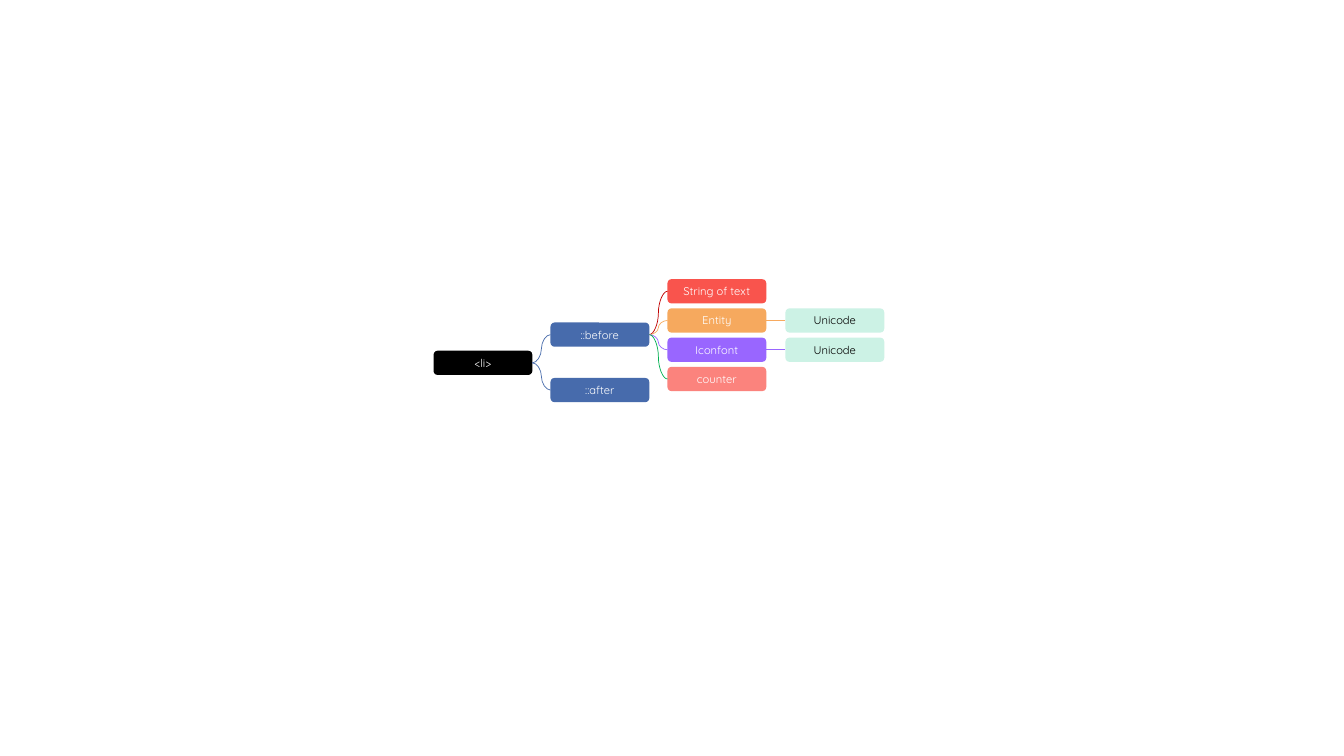
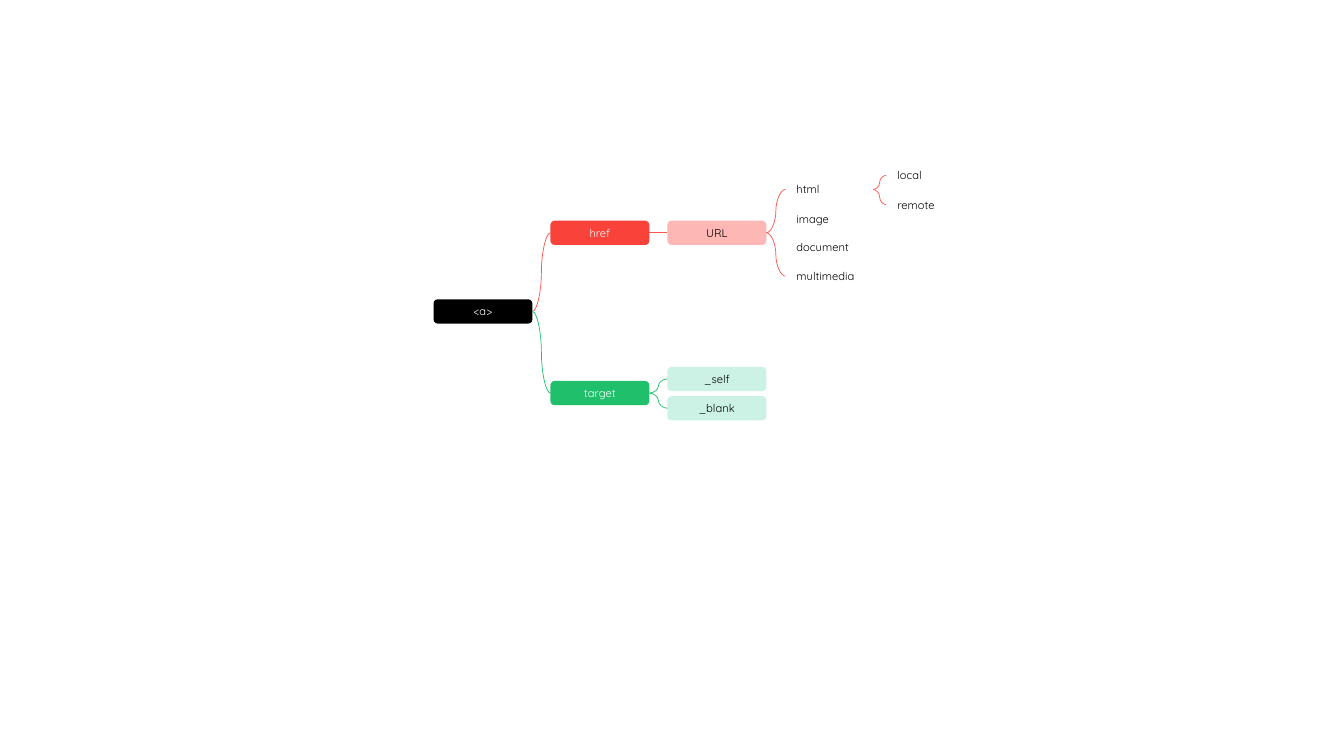
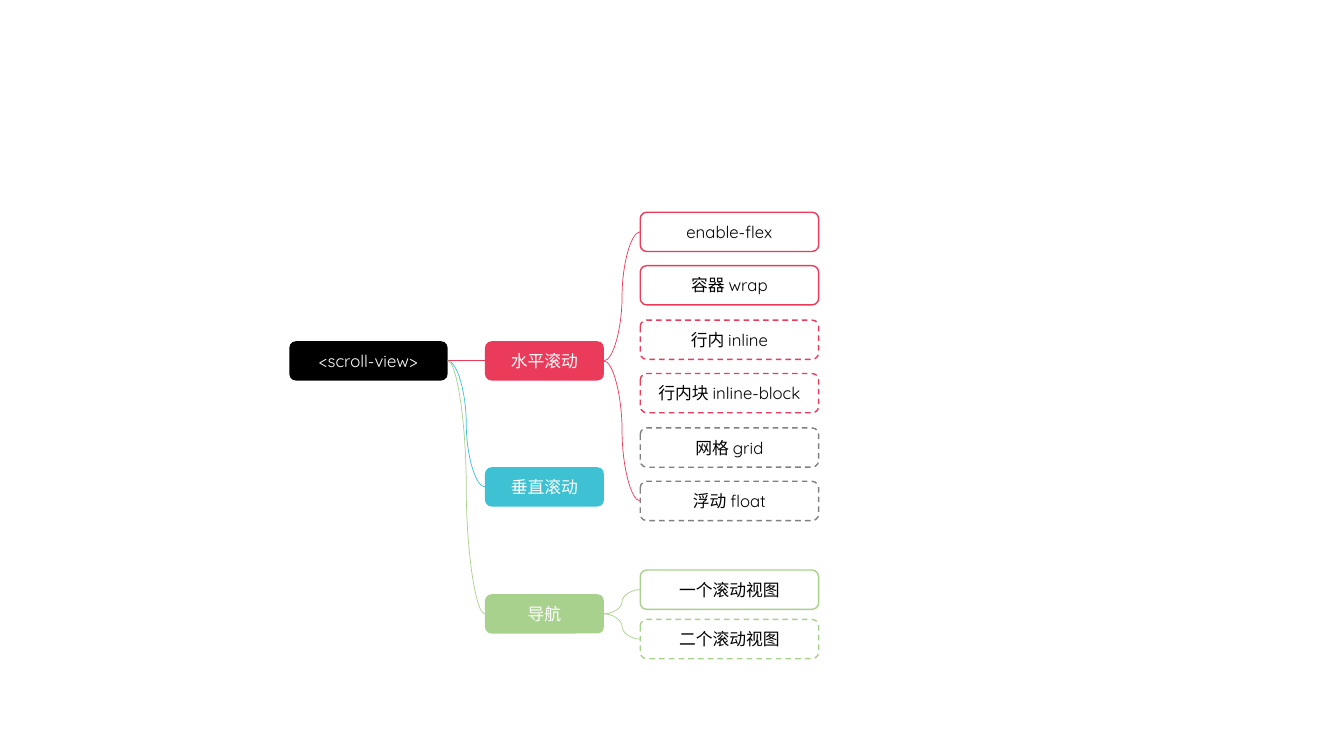
"""Build three mind maps of web markup: list items, links and scroll views."""
import pptx
import pptx.dml.color
import pptx.enum.dml
import pptx.enum.shapes
import pptx.enum.text
import pptx.oxml.ns
import pptx.oxml.xmlchemy
import pptx.util

Inches, Pt = pptx.util.Inches, pptx.util.Pt
FONT = "Quicksand"
COLORS = {
    "black": "000000", "white": "FFFFFF", "gray": "808080",
    "blue": "335BA3", "steel": "486CAC", "red": "F9423A", "dark red": "C00000",
    "orange": "F6A04D", "amber": "F7AA5F", "purple": "9966FF", "salmon": "FB837D",
    "emerald": "00B050", "mint": "CCF2E5", "coral": "FA554E", "pink": "FDB8B5",
    "green": "20BF6B", "crimson": "EB3B5A", "teal": "3DC1D3", "sage": "A9D18E",
}


def solid(fill, text="white", opacity=100):
    return {"fill": fill, "text": text, "opacity": opacity}


def outline(line, dash=False):
    return {"line": line, "dash": dash, "text": "black"}


def node(label, style, edge=None, span=(), children=()):
    return {"label": label, "style": style, "edge": edge,
            "span": span, "children": children}


ROOT = solid("black")
MINT = solid("mint", "black")
PLAIN = {"text": "black", "align": "JUSTIFY"}

MAPS = [
    {
        "columns": [(4.3, 0.98), (5.46, 0.98), (6.62, 0.98), (7.79, 0.98)],
        "height": 0.24, "size": 8, "y": 3.6,
        "root": node("<li>", ROOT, None, (3.32, 3.87), [
            node("::before", solid("blue", opacity=90), "steel", (2.89, 3.76), [
                node("String of text", solid("red", opacity=90), "dark red"),
                node("Entity", solid("orange", opacity=90), "amber", (3.18, 3.18), [
                    node("Unicode", MINT, "amber")]),
                node("Iconfont", solid("purple"), "purple", (3.47, 3.47), [
                    node("Unicode", MINT, "purple")]),
                node("counter", solid("salmon"), "emerald")]),
            node("::after", solid("blue", opacity=90), "steel")]),
    },
    {
        "columns": [(4.3, 0.98), (5.46, 0.98), (6.62, 0.98), (7.79, 0.87), (8.79, 0.98)],
        "height": 0.24, "size": 8, "y": 3.09,
        "root": node("<a>", ROOT, None, (2.31, 3.9), [
            node("href", solid("red"), "coral", (2.31, 2.31), [
                node("URL", solid("pink", "black"), "coral", (1.88, 2.74), [
                    node("html", PLAIN, "coral", (1.74, 2.03), [
                        node("local", PLAIN, "coral"),
                        node("remote", PLAIN, "coral")]),
                    node("image", PLAIN),
                    node("document", PLAIN),
                    node("multimedia", PLAIN, "coral")])]),
            node("target", solid("green"), "green", (3.76, 4.05), [
                node("_self", MINT, "green"),
                node("_blank", MINT, "green")])]),
    },
    {
        "columns": [(2.87, 1.57), (4.81, 1.18), (6.35, 1.77)],
        "height": 0.39, "size": 12, "y": 3.58,
        "root": node("<scroll-view>", ROOT, None, (3.58, 6.09), [
            node("水平滚动", solid("crimson"), "crimson", (2.3, 4.97), [
                node("enable-flex", outline("crimson"), "crimson"),
                node("容器 wrap", outline("crimson")),
                node("行内 inline", outline("crimson", True)),
                node("行内块 inline-block", outline("crimson", True)),
                node("网格 grid", outline("gray", True)),
                node("浮动 float", outline("gray", True), "crimson")]),
            node("垂直滚动", solid("teal"), "teal"),
            node("导航", solid("sage"), "sage", (5.85, 6.34), [
                node("一个滚动视图", outline("sage"), "sage"),
                node("二个滚动视图", outline("sage", True), "sage")])]),
    },
]


def rgb(name):
    return pptx.dml.color.RGBColor.from_string(COLORS[name])


def add_box(s, label, style, x, y, w, h, size):
    sp = s.shapes.add_shape(pptx.enum.shapes.MSO_SHAPE.ROUNDED_RECTANGLE,
                            Inches(x), Inches(y - h / 2), Inches(w), Inches(h))
    sp.shadow.inherit = False
    if "fill" in style:
        sp.fill.solid()
        sp.fill.fore_color.rgb = rgb(style["fill"])
        if style["opacity"] < 100:
            color = sp._element.spPr.find(".//" + pptx.oxml.ns.qn("a:srgbClr"))
            alpha = pptx.oxml.xmlchemy.OxmlElement("a:alpha")
            alpha.set("val", str(style["opacity"] * 1000))
            color.append(alpha)
    else:
        sp.fill.background()
    if "line" in style:
        sp.line.color.rgb = rgb(style["line"])
        sp.line.width = Pt(1)
        if style["dash"]:
            sp.line.dash_style = pptx.enum.dml.MSO_LINE.DASH
    else:
        sp.line.fill.background()
    tf = sp.text_frame
    tf.word_wrap = True
    tf.vertical_anchor = pptx.enum.text.MSO_ANCHOR.MIDDLE
    p = tf.paragraphs[0]
    p.alignment = pptx.enum.text.PP_ALIGN[style.get("align", "CENTER")]
    r = p.add_run()
    r.text = label
    r.font.name = FONT
    r.font.size = Pt(size)
    r.font.color.rgb = rgb(style["text"])
    return sp


def add_link(s, parent, child, color):
    kinds = pptx.enum.shapes.MSO_CONNECTOR
    kind = kinds.STRAIGHT if parent.top == child.top else kinds.CURVE
    link = s.shapes.add_connector(kind, 0, 0, 0, 0)
    link.begin_connect(parent, 3)
    link.end_connect(child, 1)
    link.line.color.rgb = rgb(color)
    link.line.width = Pt(0.5)
    link._element.spPr.append(pptx.oxml.xmlchemy.OxmlElement("a:effectLst"))


def draw_tree(s, chart, branch, y, depth=0, parent=None):
    x, w = chart["columns"][depth]
    sp = add_box(s, branch["label"], branch["style"], x, y, w,
                 chart["height"], chart["size"])
    if branch["edge"]:
        add_link(s, parent, sp, branch["edge"])
    children = branch["children"]
    if children:
        first, last = branch["span"]
        pitch = (last - first) / max(len(children) - 1, 1)
        for i, child in enumerate(children):
            draw_tree(s, chart, child, round(first + i * pitch, 2), depth + 1, sp)


def main():
    prs = pptx.Presentation()
    prs.slide_width, prs.slide_height = Inches(13.33), Inches(7.5)
    for chart in MAPS:
        s = prs.slides.add_slide(prs.slide_layouts[6])
        draw_tree(s, chart, chart["root"], chart["y"])
    prs.save("out.pptx")


if __name__ == "__main__":
    main()
